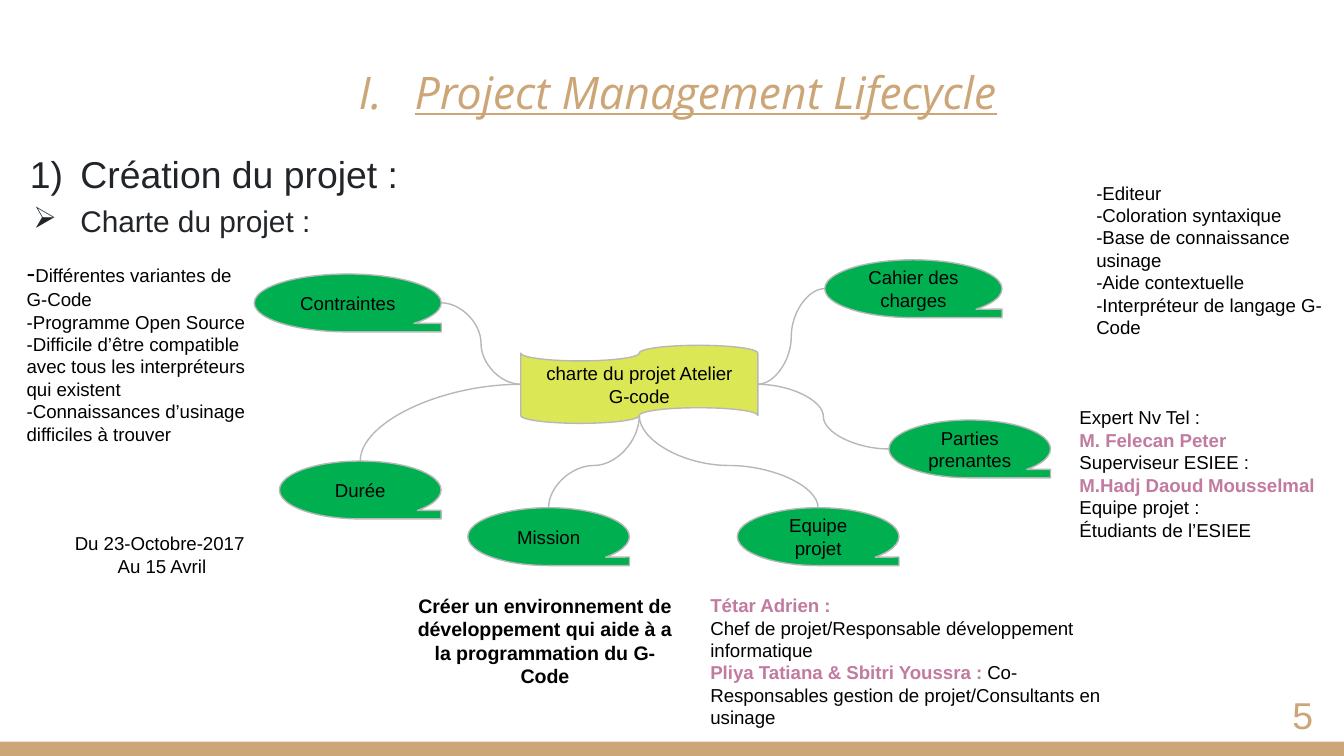
from lxml.etree import SubElement
from pptx import Presentation
from pptx.dml.color import RGBColor
from pptx.enum.shapes import MSO_CONNECTOR, MSO_SHAPE
from pptx.enum.text import MSO_ANCHOR, MSO_AUTO_SIZE, PP_ALIGN
from pptx.oxml.ns import qn
from pptx.util import Pt

GOLD, DARK, BLACK, PINK = "CCA677", "212529", "000000", "C27BA0"
GREEN, LIME, GREY = "00B050", "DCE755", "B7B7B7"
LEFT, CENTER, RIGHT = PP_ALIGN.LEFT, PP_ALIGN.CENTER, PP_ALIGN.RIGHT
TOP, MIDDLE, BOTTOM = MSO_ANCHOR.TOP, MSO_ANCHOR.MIDDLE, MSO_ANCHOR.BOTTOM


def paint(target, color):
    target.rgb = RGBColor.from_string(color)


def write(frame, lines, align=LEFT, anchor=TOP, color=BLACK, **look):
    """Each line is a string or a list of (text, format values) runs."""
    layout = {"word_wrap": True, "auto_size": MSO_AUTO_SIZE.NONE, "vertical_anchor": anchor}
    layout.update({f"margin_{side}": Pt(7.2) for side in ("left", "right", "top", "bottom")})
    for key, value in layout.items():
        setattr(frame, key, value)
    for number, line in enumerate(lines):
        paragraph = frame.add_paragraph() if number else frame.paragraphs[0]
        paragraph.alignment = align
        for text, extra in [(line, {})] if isinstance(line, str) else line:
            values = {"name": "Arial", "size": 10, "color": color, **look, **extra}
            run = paragraph.add_run()
            run.text = text
            paint(run.font.color, values.pop("color"))
            values["size"] = Pt(values["size"])
            for key, value in values.items():
                setattr(run.font, key, value)


deck = Presentation()
deck.slide_width, deck.slide_height = Pt(720), Pt(405)
slide = deck.slides.add_slide(deck.slide_layouts[5])
shapes = slide.shapes

# Title
title = shapes.title
for key, value in {"left": 24.5, "top": 5, "width": 671, "height": 65.5}.items():
    setattr(title, key, Pt(value))
write(title.text_frame, ["Project Management Lifecycle"], CENTER, BOTTOM, GOLD,
      name="Open Sans", size=24, italic=True, underline=True)

# Bottom band
band = shapes.add_shape(MSO_SHAPE.RECTANGLE, Pt(0), Pt(397.4), Pt(720), Pt(7.6))
band.shadow.inherit = False
band.fill.solid()
paint(band.fill.fore_color, GOLD)
band.line.fill.background()

# Headings
headings = shapes.add_textbox(Pt(0), Pt(69), Pt(720), Pt(325)).text_frame
write(headings, [[("Création du projet :", {"size": 20})],
                 [("Charte du projet :", {"size": 16})]], color=DARK)

# Numbering and bullet of the title and headings
for paragraph, indent, spacing, color, tag, attribute, mark in [
    (title.text_frame.paragraphs[0], -30, 1.15, GOLD, "a:buAutoNum", "type", "romanUcPeriod"),
    (headings.paragraphs[0], -27, 1.2, DARK, "a:buAutoNum", "type", "arabicParenR"),
    (headings.paragraphs[1], -25.2, 1.2, DARK, "a:buChar", "char", "➢"),
]:
    properties = paragraph._p.get_or_add_pPr()
    properties.set("marL", str(Pt(36)))
    properties.set("indent", str(Pt(indent)))
    SubElement(SubElement(properties, qn("a:buClr")), qn("a:srgbClr"), val=color)
    SubElement(properties, qn(tag), {attribute: mark})
    paragraph.line_spacing = spacing
    paragraph.space_before = Pt(0)

# Slide number
number = shapes.add_textbox(Pt(667.4), Pt(367.2), Pt(43.2), Pt(31))
write(number.text_frame, ["5"], RIGHT, MIDDLE, GOLD, size=20)

# Charter and its topics
TAPE = MSO_SHAPE.FLOWCHART_SEQUENTIAL_ACCESS_STORAGE
for label, left, top, width, height, kind, color in [
    ("charte du projet Atelier G-code", 279, 185, 127, 41.8, MSO_SHAPE.FLOWCHART_PUNCHED_TAPE, LIME),
    ("Contraintes", 136.2, 146.8, 100.2, 31, TAPE, GREEN),
    ("Parties prenantes", 476.2, 225, 86.6, 31, TAPE, GREEN),
    ("Cahier des charges", 441.8, 139.2, 95, 31, TAPE, GREEN),
    ("Durée", 149.7, 247, 86.6, 31, TAPE, GREEN),
    ("Equipe projet", 395, 272, 86.6, 31, TAPE, GREEN),
    ("Mission", 250.6, 272, 86.6, 31, TAPE, GREEN),
]:
    topic = shapes.add_shape(kind, Pt(left), Pt(top), Pt(width), Pt(height))
    topic.shadow.inherit = False
    topic.fill.solid()
    paint(topic.fill.fore_color, color)
    paint(topic.line.color, GREY)
    topic.line.width = Pt(0.75)
    write(topic.text_frame, [label], CENTER, MIDDLE)

# Details of each topic
PERSON, PLAIN = {"color": PINK, "bold": True}, {}
for left, top, width, height, align, look, lines in [
    (214, 311, 156, 50, CENTER, {"size": 10.5, "bold": True},
     ["Créer un environnement de développement qui aide à a la programmation du G-Code"]),
    (373.5, 311, 232, 87, LEFT, {},
     [[("Tétar Adrien :", PERSON)],
      "Chef de projet/Responsable développement informatique",
      [("Pliya Tatiana & Sbitri Youssra : ", PERSON),
       ("Co-Responsables gestion de projet/Consultants en usinage", PLAIN)]]),
    (571.2, 210.5, 146, 92, LEFT, {},
     ["Expert Nv Tel :",
      [("M. Felecan Peter", PERSON)],
      "Superviseur ESIEE :",
      [("M.Hadj Daoud", PERSON), (" ", {**PERSON, "size": 9}), ("Mousselmal", PERSON)],
      "Equipe projet :",
      "Étudiants de l’ESIEE"]),
    (580.2, 90, 137, 92, LEFT, {},
     ["-Editeur", "-Coloration syntaxique", "-Base de connaissance usinage",
      "-Aide contextuelle", "-Interpréteur de langage G-Code"]),
    (7.2, 130.3, 137, 111, LEFT, {},
     [[("-", {"size": 14}), ("Différentes variantes de G-Code", PLAIN)],
      "-Programme Open Source",
      "-Difficile d’être compatible avec tous les interpréteurs qui existent",
      "-Connaissances d’usinage difficiles à trouver"]),
    (33, 278, 107.5, 42, LEFT, {}, ["Du 23-Octobre-2017", "Au 15 Avril"]),
]:
    detail = shapes.add_textbox(Pt(left), Pt(top), Pt(width), Pt(height)).text_frame
    write(detail, lines, align, **look)
detail.paragraphs[1].alignment = CENTER  # end date, in the last box

# Curves from the charter to the topics
WEST, EAST, SOUTH = (279, 205.9), (406, 205.9), (342.5, 222.6)
for (x1, y1), (x2, y2) in [
    (WEST, (236.4, 162.3)), (EAST, (441.8, 154.7)), (EAST, (476.2, 240.5)),
    (SOUTH, (438.3, 272)), (SOUTH, (293.9, 272)), (WEST, (193, 247)),
]:
    downward = (x1, y1) == SOUTH
    turn = 90 if x2 < x1 else 270
    if downward:  # lay the curve on its side, then rotate it about its middle
        sign = 1 if turn == 90 else -1
        middle_x, middle_y = (x1 + x2) / 2, (y1 + y2) / 2
        half_x, half_y = sign * (y2 - y1) / 2, sign * (x1 - x2) / 2
        x1, y1 = middle_x - half_x, middle_y - half_y
        x2, y2 = middle_x + half_x, middle_y + half_y
    curve = shapes.add_connector(MSO_CONNECTOR.CURVE, Pt(x1), Pt(y1), Pt(x2), Pt(y2))
    paint(curve.line.color, GREY)
    curve.line.width = Pt(0.75)
    properties = curve._element.spPr
    SubElement(properties, qn("a:effectLst"))
    geometry = properties.find(qn("a:prstGeom"))
    if downward:
        properties.find(qn("a:xfrm")).set("rot", str(turn * 60000))
        SubElement(geometry.find(qn("a:avLst")), qn("a:gd"), name="adj1", fmla="val 54200")
    elif x2 == 193:  # the curve that ends on top of "Durée" is a quarter turn
        geometry.set("prst", "curvedConnector2")

deck.save("out.pptx")
